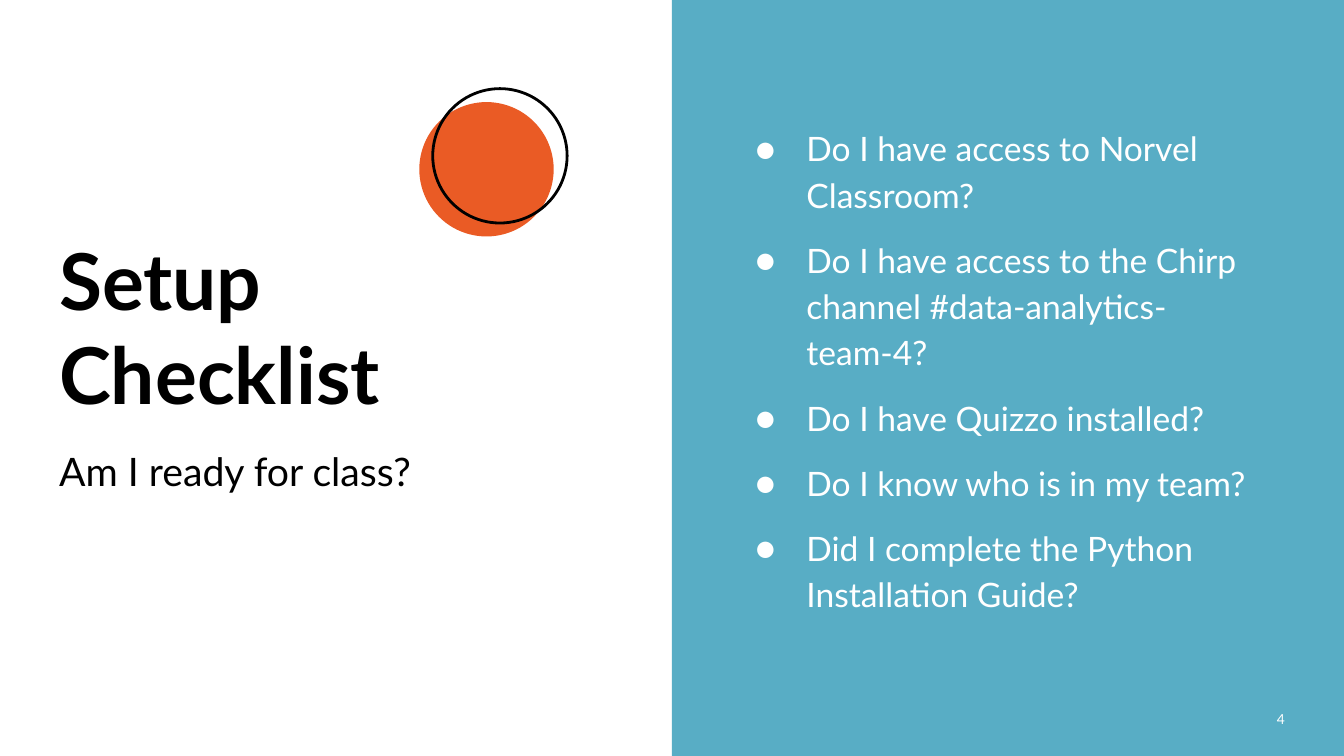
"""Build the setup checklist slide with a title side and a question panel."""
from lxml.etree import SubElement
from pptx import Presentation
from pptx.dml.color import RGBColor
from pptx.enum.shapes import MSO_SHAPE
from pptx.enum.text import MSO_ANCHOR, MSO_AUTO_SIZE, PP_ALIGN
from pptx.oxml.ns import qn
from pptx.util import Inches, Pt

COLORS = {"panel": "58ADC5", "accent": "EA5B25", "dark": "000000", "light": "FFFFFF"}
FONT = "Lato"
QUESTIONS = [
    "Do I have access to Norvel Classroom?",
    "Do I have access to the Chirp channel #data-analytics-team-4?",
    "Do I have Quizzo installed?",
    "Do I know who is in my team?",
    "Did I complete the Python Installation Guide?",
]

presentation = Presentation()
presentation.slide_width = Inches(10)
presentation.slide_height = presentation.slide_width * 9 // 16
slide = presentation.slides.add_slide(presentation.slide_layouts[3])
cell = presentation.slide_width // 100


def grid(column, row, columns, rows):
    """Turn grid cells into slide lengths."""
    return [int(count * cell) for count in (column, row, columns, rows)]


def write(shape, area, lines, size, color="dark", bold=False, anchor=MSO_ANCHOR.TOP,
          align=PP_ALIGN.LEFT, spacing=1.0, gap=0, bullet=None):
    """Place a text shape and fill it with formatted paragraphs."""
    shape.left, shape.top, shape.width, shape.height = area
    frame = shape.text_frame
    frame.text = "\n".join(lines)
    frame.word_wrap = True
    frame.auto_size = MSO_AUTO_SIZE.NONE
    frame.vertical_anchor = anchor
    frame.margin_left = frame.margin_right = frame.margin_top = frame.margin_bottom = cell
    for index, paragraph in enumerate(frame.paragraphs):
        paragraph.alignment = align
        paragraph.line_spacing = spacing
        paragraph.space_before = Pt(gap if index else 0)
        paragraph.space_after = Pt(gap if index == len(lines) - 1 else 0)
        font = paragraph.runs[0].font
        font.name, font.size, font.bold = FONT, Pt(size), bold
        font.color.rgb = RGBColor.from_string(COLORS[color])
        properties = paragraph._p.get_or_add_pPr()
        properties.set("marL", str(Inches(0.5) if bullet else 0))
        properties.set("indent", str(Inches(-0.38) if bullet else 0))
        if bullet:
            bullet_color = SubElement(properties, qn("a:buClr"))
            SubElement(bullet_color, qn("a:srgbClr"), val=COLORS[color])
            SubElement(properties, qn("a:buFont"), typeface=FONT)
            SubElement(properties, qn("a:buChar"), char=bullet)
        else:
            SubElement(properties, qn("a:buNone"))


panel = slide.shapes.add_shape(
    MSO_SHAPE.RECTANGLE, *grid(50, 0, 50, 56.25))
panel.shadow.inherit = False
panel.fill.solid()
panel.fill.fore_color.rgb = RGBColor.from_string(COLORS["panel"])
panel.line.fill.background()
panel.element.getparent().insert(2, panel.element)

title, subtitle, checklist = slide.placeholders
write(title, grid(3.4, 7.45, 43.7, 24.8), ["Setup", "Checklist"], 42,
      bold=True, anchor=MSO_ANCHOR.BOTTOM)
write(subtitle, grid(3.4, 32.3, 43.7, 13.5), ["Am I ready for class?"], 21)
write(checklist, grid(54, 3.8, 41.5, 47.2), QUESTIONS, 18, color="light",
      anchor=MSO_ANCHOR.MIDDLE, spacing=1.15, gap=10, bullet="●")

page_area = grid(92.6, 52.1, 4, 3)
page_number = slide.shapes.add_textbox(*page_area)
write(page_number, page_area, ["4"], 7.4, color="light",
      anchor=MSO_ANCHOR.MIDDLE, align=PP_ALIGN.RIGHT, spacing=0.8)

circles = slide.shapes.add_group_shape()
disc = circles.shapes.add_shape(MSO_SHAPE.OVAL, *grid(31.2, 7.6, 10, 10))
ring = circles.shapes.add_shape(MSO_SHAPE.OVAL, *grid(32.2, 6.6, 10, 10))
for circle in (disc, ring):
    circle.shadow.inherit = False
disc.fill.solid()
disc.fill.fore_color.rgb = RGBColor.from_string(COLORS["accent"])
disc.line.fill.background()
ring.fill.background()
ring.line.color.rgb = RGBColor.from_string(COLORS["dark"])
ring.line.width = Pt(1.5)

presentation.save("out.pptx")
